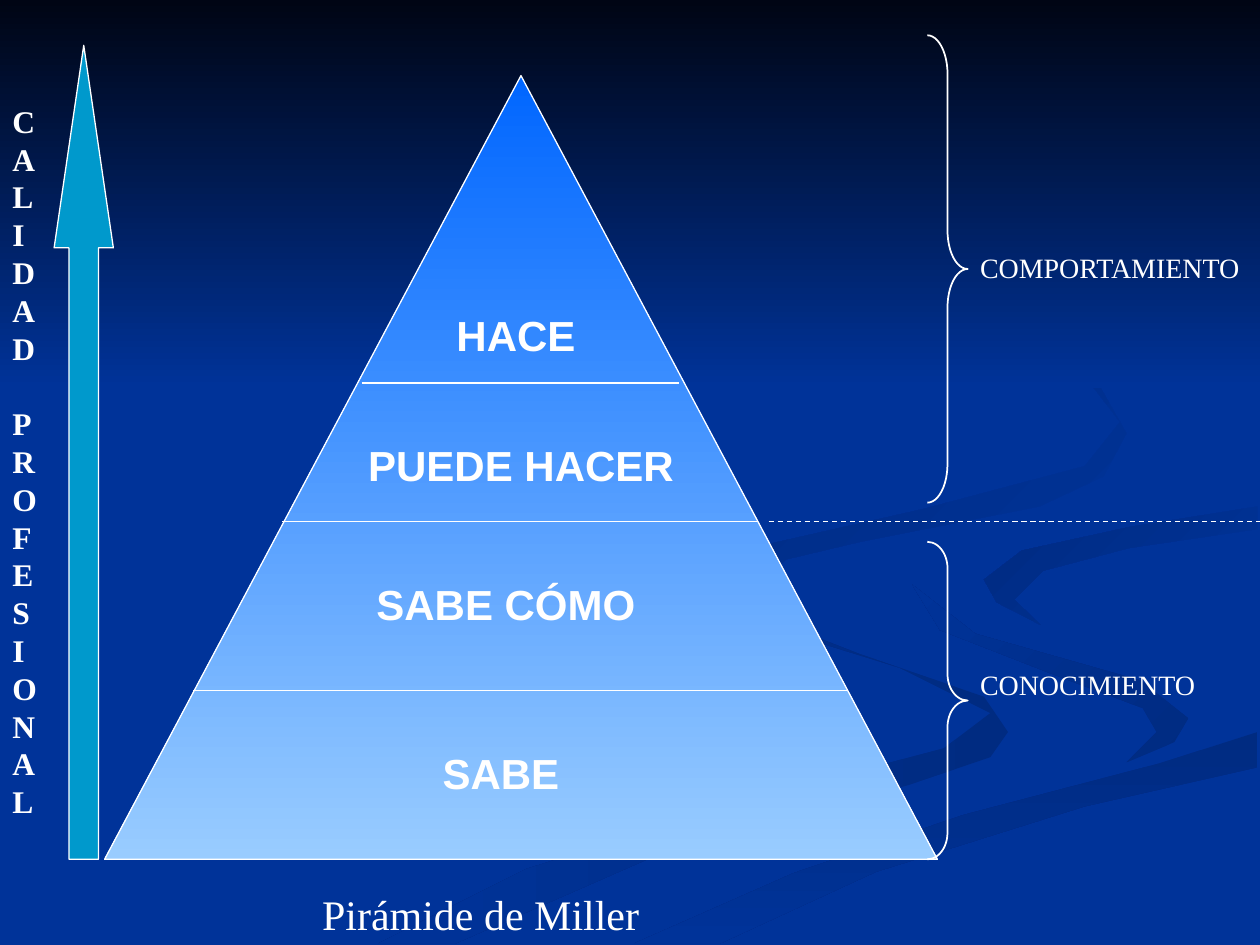
from dataclasses import dataclass

from pptx import Presentation
from pptx.dml.color import RGBColor
from pptx.enum.dml import MSO_LINE
from pptx.enum.shapes import MSO_CONNECTOR, MSO_SHAPE
from pptx.enum.text import MSO_ANCHOR, PP_ALIGN
from pptx.oxml.ns import qn
from pptx.util import Inches, Pt
from lxml.etree import SubElement


@dataclass(frozen=True)
class Theme:
    back: str = "003399"
    shade: str = "002B81"
    night: str = "000514"
    peak: str = "0066FF"
    base: str = "99CCFF"
    arrow: str = "0099CC"
    ink: str = "FFFFFF"
    serif: str = "Times New Roman"
    sans: str = "Arial"
    large: int = 24
    medium: int = 18
    small: int = 16
    thin: float = 0.75
    brace: float = 1


T = Theme()


def paint(sp, colors, angle=0, line=None):
    """Fill with no, one or two colours; angle runs clockwise in degrees."""
    sp.shadow.inherit = False
    if not colors:
        sp.fill.background()
    elif len(colors) == 1:
        sp.fill.solid()
        sp.fill.fore_color.rgb = RGBColor.from_string(colors[0])
    else:
        sp.fill.gradient()
        sp.fill.gradient_angle = (360 - angle) % 360
        for stop, color in zip(sp.fill.gradient_stops, colors):
            stop.color.rgb = RGBColor.from_string(color)
    if line is None:
        sp.line.fill.background()
    else:
        sp.line.color.rgb = RGBColor.from_string(T.ink)
        sp.line.width = Pt(line)


def write(sp, text, size, font, bold=False, align=PP_ALIGN.LEFT):
    tf = sp.text_frame
    tf.word_wrap = True
    tf.vertical_anchor = MSO_ANCHOR.TOP
    p = tf.paragraphs[0]
    p.alignment = align
    p.space_before = Pt(size * 0.625)
    r = p.add_run()
    r.text = text
    r.font.size = Pt(size)
    r.font.name = font
    r.font.bold = bold
    r.font.color.rgb = RGBColor.from_string(T.ink)


prs = Presentation()
prs.slide_width, prs.slide_height = Inches(10), Inches(7.5)
s = prs.slides.add_slide(prs.slide_layouts[5])
s.background.fill.solid()
s.background.fill.fore_color.rgb = RGBColor.from_string(T.back)

# Background ribbons: colours, angle, outline in hundredths of an inch
ribbons = [
    ((T.shade, T.back), 180, [
        (781, 553), (682, 519), (594, 485), (575, 459), (602, 495), (714, 530),
        (786, 566), (749, 594), (579, 639), (417, 690), (300, 749), (361, 749),
        (532, 674), (721, 623), (786, 601), (800, 581)]),
    ((T.shade, T.back), 225, [
        (943, 570), (905, 540), (774, 503), (724, 464), (746, 500), (838, 536),
        (907, 562), (918, 581), (894, 605), (932, 589)]),
    ((T.shade, T.back), 90, [
        (503, 749), (571, 749), (695, 692), (861, 640), (998, 609), (998, 581),
        (920, 606), (764, 647), (630, 693)]),
    ((T.back, T.shade), 225, [
        (781, 460), (791, 478), (826, 496), (805, 476), (828, 453), (896, 435),
        (998, 420), (998, 402), (898, 418), (811, 437)]),
    ((T.back, T.shade), 225, [
        (683, 430), (825, 402), (876, 378), (894, 344), (864, 291), (762, 233),
        (846, 279), (889, 335), (861, 370), (733, 404), (605, 433), (577, 462),
        (622, 500), (593, 470), (624, 444)]),
]
for colors, angle, outline in ribbons:
    pen = s.shapes.build_freeform(*outline[0], scale=Inches(0.01))
    pen.add_line_segments(outline[1:], close=True)
    paint(pen.convert_to_shape(), colors, angle)

# Preset shapes: kind, box, adjustments, colours, line width
shapes = [
    (MSO_SHAPE.RECTANGLE, (0, 0, 10, 3.08), (), (T.night, T.back), None),
    (MSO_SHAPE.ISOSCELES_TRIANGLE, (0.83, 0.6, 6.61, 6.22), (0.5,),
     (T.peak, T.base), T.thin),
    (MSO_SHAPE.UP_ARROW, (0.43, 0.36, 0.47, 6.46), (0.5, 3.42),
     (T.arrow,), T.thin),
    (MSO_SHAPE.RIGHT_BRACE, (7.36, 0.28, 0.32, 3.71), (0.96, 0.5), (), T.brace),
    (MSO_SHAPE.RIGHT_BRACE, (7.36, 4.3, 0.32, 2.52), (0.66, 0.5), (), T.brace),
]
for kind, box, adjustments, colors, line in shapes:
    sp = s.shapes.add_shape(kind, *map(Inches, box))
    for i, value in enumerate(adjustments):
        sp.adjustments[i] = value
    paint(sp, colors, 90, line)

# Level dividers, then the dashed border between behaviour and knowledge
dividers = [(1.53, 6.73, 5.48), (2.24, 6.02, 4.14), (2.87, 5.39, 3.04),
            (6.1, 10, 4.14)]
for left, right, y in dividers:
    line = s.shapes.add_connector(MSO_CONNECTOR.STRAIGHT, Inches(left),
                                  Inches(y), Inches(right), Inches(y))
    line.line.color.rgb = RGBColor.from_string(T.ink)
    line.line.width = Pt(T.thin)
    SubElement(line._element.spPr, qn("a:effectLst"))
line.line.dash_style = MSO_LINE.DASH

level = (T.large, T.sans, True, PP_ALIGN.CENTER)
label = (T.small, T.serif)
texts = [
    ("SABE", (2.95, 5.88, 2.05, 0.5), level),
    ("SABE CÓMO", (2.4, 4.54, 3.23, 0.5), level),
    ("PUEDE HACER", (2.64, 3.44, 2.99, 0.5), level),
    ("HACE", (3.11, 2.41, 1.97, 0.5), level),
    ("CONOCIMIENTO", (7.68, 5.25, 2.32, 0.37), label),
    ("COMPORTAMIENTO", (7.68, 1.94, 2.32, 0.64), label),
    ("CALIDAD  PROFESIONAL", (0, 0.76, 0.35, 5.8), (T.medium, T.serif, True)),
]
for text, box, style in texts:
    write(s.shapes.add_textbox(*map(Inches, box)), text, *style)

title = s.shapes.title
title.left, title.top, title.width, title.height = map(
    Inches, (0.51, 7, 6.61, 0.5))
write(title, "Pirámide de Miller", T.large, T.serif, align=PP_ALIGN.CENTER)
s.shapes._spTree.append(title._element)  # bring in front of the ribbons

prs.save("out.pptx")
